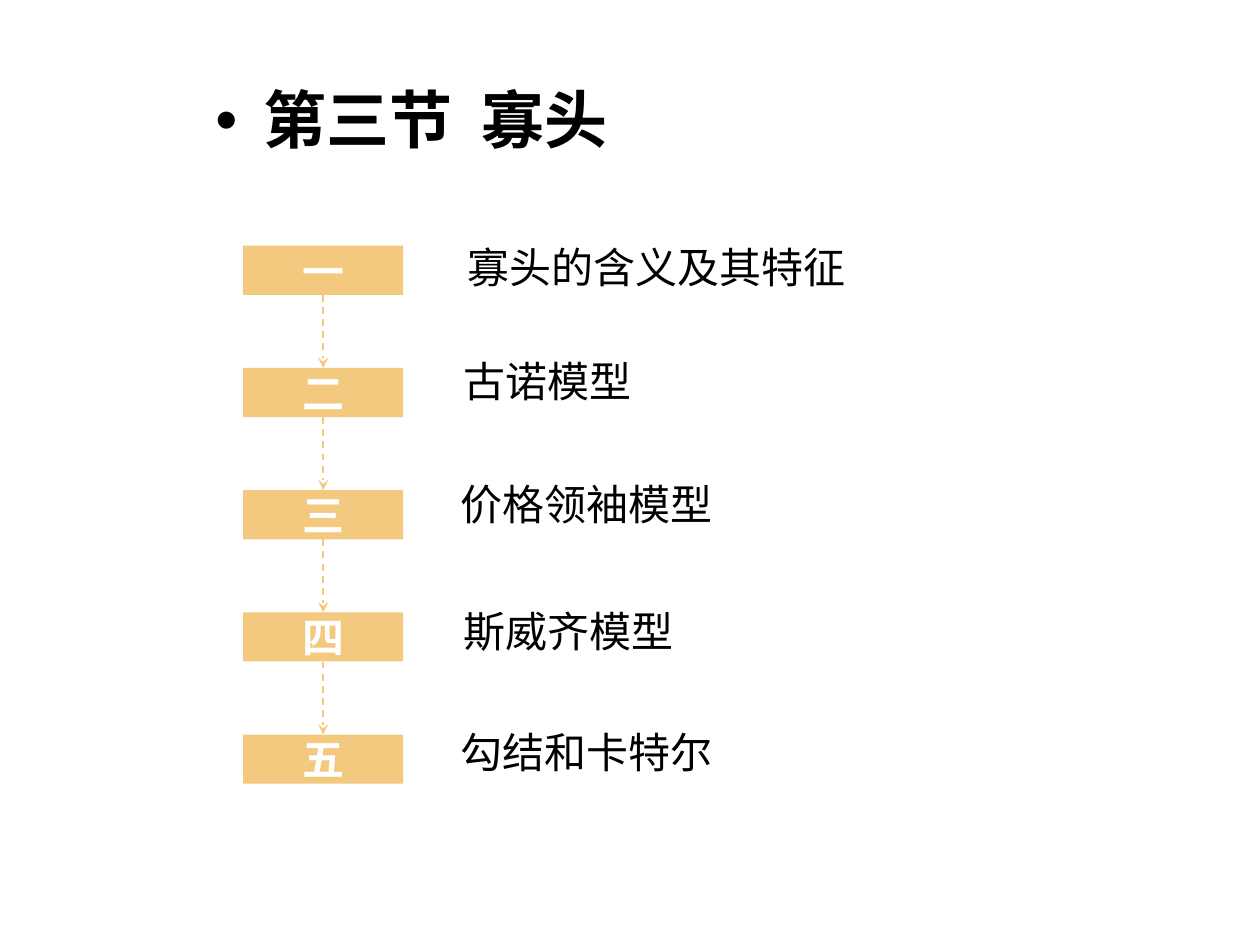
import pptx
import pptx.dml.color
import pptx.enum.dml
import pptx.enum.shapes
import pptx.enum.text
import pptx.oxml
import pptx.oxml.ns
import pptx.util

Inches = pptx.util.Inches
Pt = pptx.util.Pt
ALIGN = pptx.enum.text.PP_ALIGN
ANCHOR = pptx.enum.text.MSO_ANCHOR
FONT = "Noto Sans CJK SC"
COLORS = {"gold": "F3C97F", "white": "FFFFFF", "black": "000000"}


def color(name):
    return pptx.dml.color.RGBColor.from_string(COLORS[name])


def add_run(para, text, size, name, bold=False):
    """Add a run with the same font for Latin and East Asian text."""
    run = para.add_run()
    run.text = text
    run.font.size = Pt(size)
    run.font.bold = bold
    run.font.color.rgb = color(name)
    run.font.name = FONT
    props = run.font._element
    east = props.makeelement(pptx.oxml.ns.qn("a:ea"), {"typeface": FONT})
    props.find(pptx.oxml.ns.qn("a:latin")).addnext(east)
    return run


deck = pptx.Presentation()
deck.slide_width = Inches(10)
deck.slide_height = Inches(7.5)
slide = deck.slides.add_slide(deck.slide_layouts[1])

# Section heading
title = slide.shapes.title
title.element.getparent().remove(title.element)
head = slide.placeholders[1]
head.left, head.top = Inches(1.61), Inches(0.66)
head.width, head.height = Inches(6.55), Inches(0.87)
para = head.text_frame.paragraphs[0]
para.alignment = ALIGN.LEFT
para.line_spacing = 0.9
para.space_before = Pt(0)
props = para._p.get_or_add_pPr()
props.set("marL", str(Inches(0.38)))
props.set("indent", str(Inches(-0.38)))
add_run(para, "第三节\t 寡头", 36, "black", True)

# Numbered boxes joined by dashed arrows
left, top, wide, high, step = 1.93, 1.95, 1.27, 0.39, 0.97
marks = "一二三四五"
for row, mark in enumerate(marks):
    y = top + row * step
    box = slide.shapes.add_shape(
        pptx.enum.shapes.MSO_SHAPE.RECTANGLE,
        Inches(left), Inches(y), Inches(wide), Inches(high))
    box.shadow.inherit = False
    box.fill.solid()
    box.fill.fore_color.rgb = color("gold")
    box.line.fill.background()
    box.text_frame.vertical_anchor = ANCHOR.MIDDLE
    para = box.text_frame.paragraphs[0]
    para.alignment = ALIGN.CENTER
    run = add_run(para, mark, 24, "white", True)
    run.font._element.set("spc", "150")

    if row < len(marks) - 1:
        mid = Inches(left + wide / 2)
        arrow = slide.shapes.add_connector(
            pptx.enum.shapes.MSO_CONNECTOR.STRAIGHT,
            mid, Inches(y + high), mid, Inches(y + step))
        arrow.line.color.rgb = color("gold")
        arrow.line.width = Pt(1)
        arrow.line.dash_style = pptx.enum.dml.MSO_LINE.DASH
        pptx.oxml.ns.qn("a:tailEnd")
        line = arrow.line._get_or_add_ln()
        line.append(line.makeelement(
            pptx.oxml.ns.qn("a:tailEnd"), {"type": "stealth"}))
        shape = arrow._element.spPr
        shape.append(shape.makeelement(pptx.oxml.ns.qn("a:effectLst"), {}))

# Topics: text, left, top, width, indent
topics = [
    ("寡头的含义及其特征", 3.11, 1.91, 4.1, 0.5),
    ("古诺模型", 3.58, 2.82, 2.2, 0),
    ("价格领袖模型", 3.56, 3.79, 2.22, 0),
    ("斯威齐模型", 3.58, 4.8, 1.88, 0),
    ("勾结和卡特尔", 3.56, 5.76, 2.22, 0),
]
for text, x, y, width, indent in topics:
    box = slide.shapes.add_textbox(
        Inches(x), Inches(y), Inches(width), Inches(0.5))
    box.text_frame.word_wrap = True
    para = box.text_frame.paragraphs[0]
    para.line_spacing = 0.9
    para._p.get_or_add_pPr().set("marL", str(Inches(indent)))
    add_run(para, text, 24, "black")

deck.save("out.pptx")
